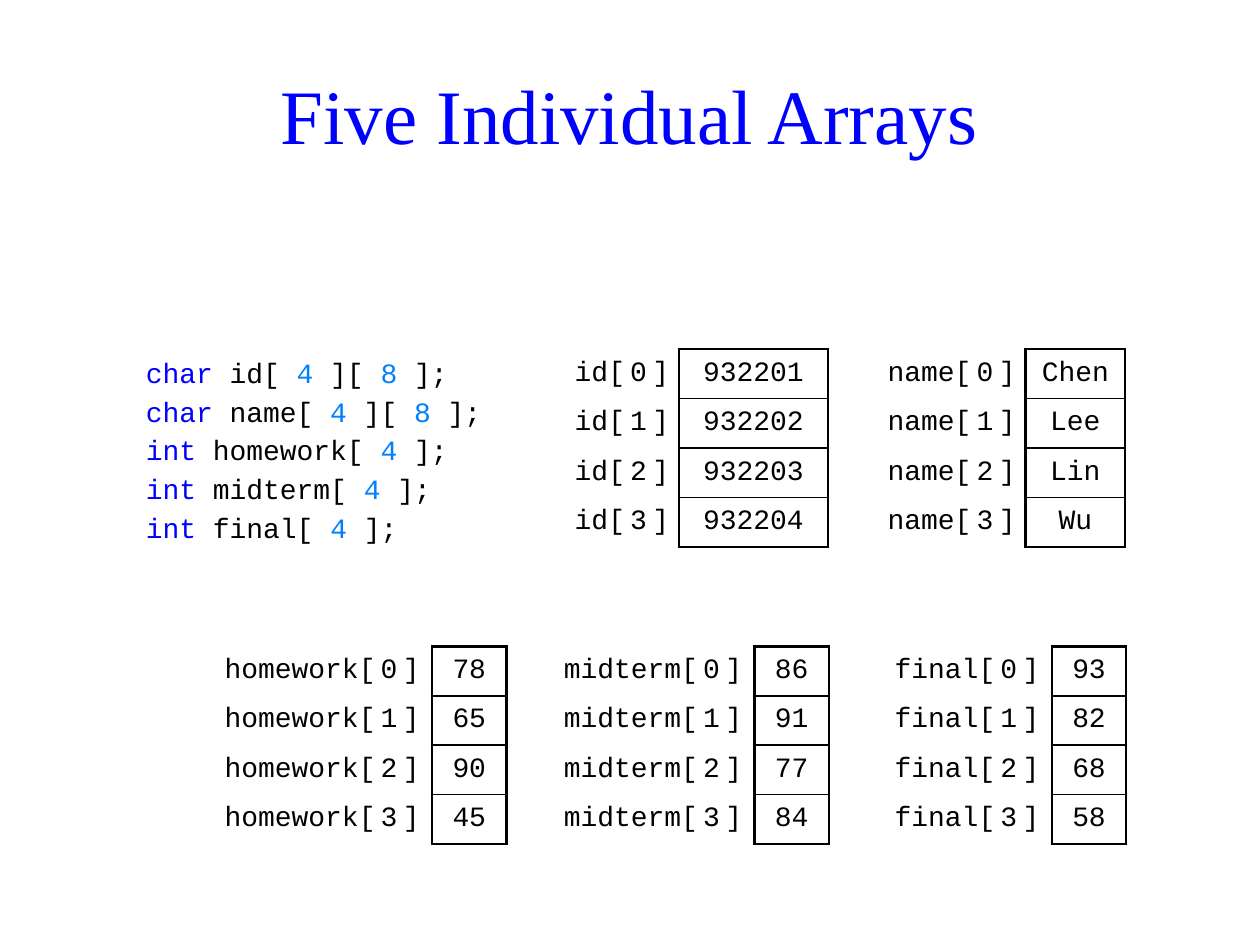
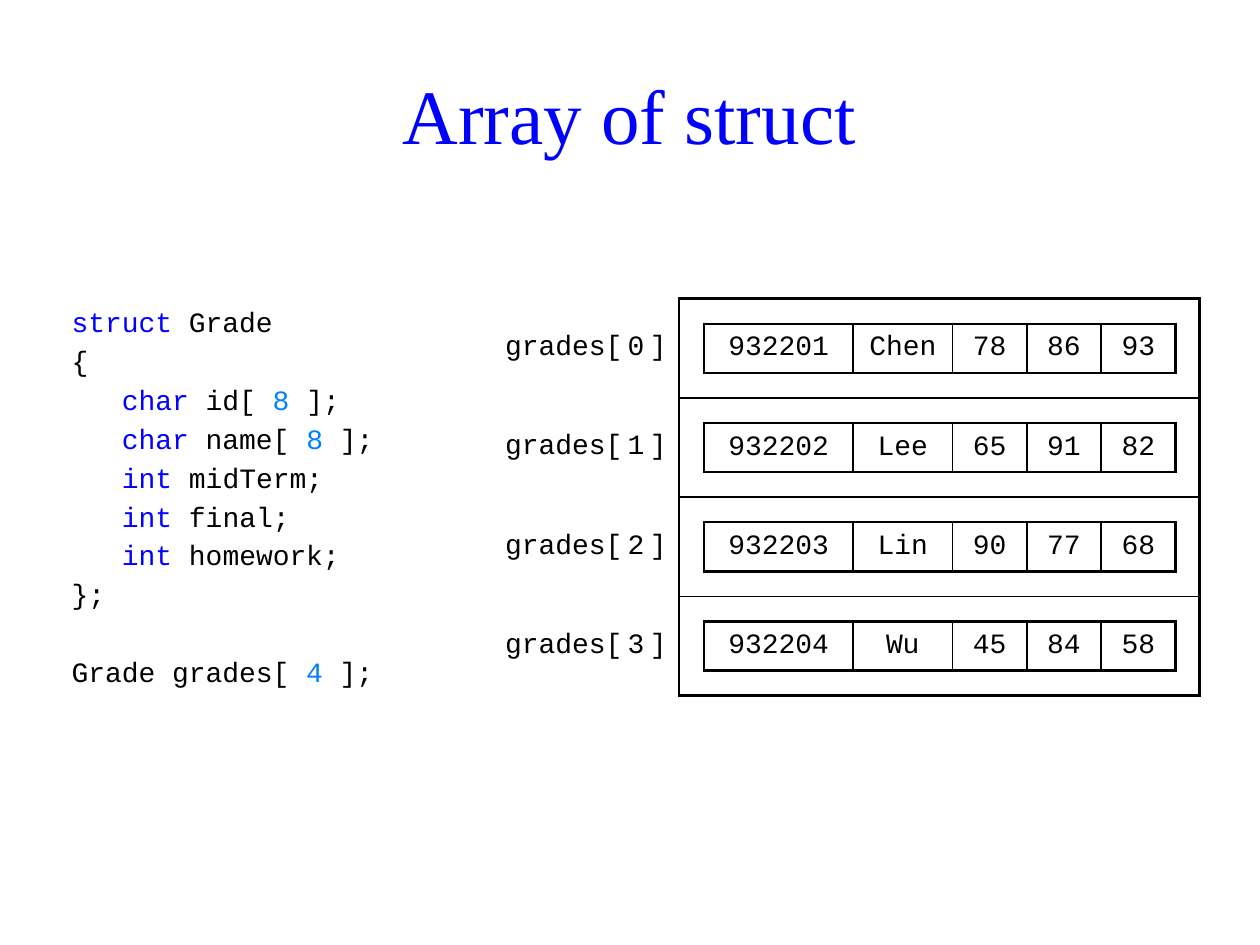
"""Build two slides comparing five individual arrays with an array of struct."""
from pptx import Presentation
from pptx.dml.color import RGBColor
from pptx.enum.text import MSO_ANCHOR, PP_ALIGN
from pptx.oxml import parse_xml
from pptx.oxml.ns import nsdecls
from pptx.util import Inches, Pt

MIDDLE = MSO_ANCHOR.MIDDLE
CENTER, RIGHT = PP_ALIGN.CENTER, PP_ALIGN.RIGHT
BLUE, NUMBER, BLACK = "0000FF", "0080FF", "000000"
KEYWORDS = ("char", "int", "struct")
NO_STYLE = "{2D5ABB26-0587-4C30-8999-92F81FD0307C}"
THICK, THIN = 1.5, 1
RECORDS = [
    ["932201", "Chen", "78", "86", "93"],
    ["932202", "Lee", "65", "91", "82"],
    ["932203", "Lin", "90", "77", "68"],
    ["932204", "Wu", "45", "84", "58"],
]


def add_run(p, text, color=BLACK, font="Courier New", size=16):
    """Append one formatted run to a paragraph."""
    r = p.add_run()
    r.text = text
    r.font.name = font
    r.font.size = Pt(size)
    r.font.color.rgb = RGBColor.from_string(color)
    return r


def add_grid(s, left, top, widths, height, rows, margin=0.1):
    """Add a table whose cells are index labels or bordered boxes."""
    last_row, last_col = len(rows) - 1, len(widths) - 1
    frame = s.shapes.add_table(len(rows), len(widths), Inches(left), Inches(top),
                               Inches(sum(widths)), Inches(height))
    table = frame.table
    table.first_row = table.horz_banding = False
    frame._element.graphic.graphicData.tbl.tblPr.find(
        "{*}tableStyleId").text = NO_STYLE
    for col, width in zip(table.columns, widths):
        col.width = Inches(width)
    for i, row in enumerate(rows):
        table.rows[i].height = Inches(height / len(rows))
        for j, text in enumerate(row):
            cell = table.cell(i, j)
            cell.fill.background()
            cell.vertical_anchor = MIDDLE
            cell.margin_left = cell.margin_right = Inches(margin)
            cell.margin_top = cell.margin_bottom = Inches(0.04)
            p = cell.text_frame.paragraphs[0]
            if text.endswith("]"):
                p.alignment = RIGHT
                name, index = text[:-1].split("[")
                add_run(p, name)
                add_run(p, "[" + index)._r.get_or_add_rPr().set("spc", "300")
                add_run(p, "]")
                continue
            p.alignment = CENTER
            if text:
                add_run(p, text)
            after_label = j == 0 or row[j - 1].endswith("]")
            before_label = j == last_col or row[j + 1].endswith("]")
            sides = [("lnL", after_label), ("lnR", before_label),
                     ("lnT", i == 0), ("lnB", i == last_row)]
            for k, (tag, outer) in enumerate(sides):
                width = Pt(THICK if outer else THIN)
                cell._tc.get_or_add_tcPr().insert(k, parse_xml(
                    f'<a:{tag} {nsdecls("a")} w="{width}"><a:solidFill>'
                    f'<a:srgbClr val="{BLACK}"/></a:solidFill></a:{tag}>'))


prs = Presentation()
prs.slide_width, prs.slide_height = Inches(10), Inches(7.5)

PAGES = [
    ("Five Individual Arrays", (1.06, 2.77, 2.95, 1.58), [
        (0, 3, "char id[ 4 ][ 8 ];"),
        (0, 3, "char name[ 4 ][ 8 ];"),
        (0, 3, "int homework[ 4 ];"),
        (0, 3, "int midterm[ 4 ];"),
        (0, 3, "int final[ 4 ];"),
    ]),
    ("Array of struct", (0.47, 2.37, 2.76, 3.15), [
        (0, 3, "struct Grade"),
        (0, 3, "{"),
        (0.4, 3, "char id[ 8 ];"),
        (0.4, 3, "char name[ 8 ];"),
        (0.4, 3, "int midTerm;"),
        (0.4, 3, "int final;"),
        (0.4, 3, "int homework;"),
        (0, 3, "};"),
        (0, 25, "Grade grades[ 4 ];"),
    ]),
]
slides = []
for heading, code_box, code in PAGES:
    s = prs.slides.add_slide(prs.slide_layouts[5])
    slides.append(s)
    title = s.shapes.title
    title.left, title.top = Inches(0.27), Inches(0.21)
    title.width, title.height = Inches(9.45), Inches(1.38)
    title.text_frame.vertical_anchor = MIDDLE
    p = title.text_frame.paragraphs[0]
    p.alignment = CENTER
    add_run(p, heading, BLUE, "Times New Roman", 44)

    tf = s.shapes.add_textbox(*map(Inches, code_box)).text_frame
    tf.word_wrap = True
    for n, (indent, space, line) in enumerate(code):
        p = tf.add_paragraph() if n else tf.paragraphs[0]
        p.space_before = Pt(space)
        p._p.get_or_add_pPr().set("marL", str(Inches(indent)))
        for k, word in enumerate(line.split(" ")):
            color = BLUE if word in KEYWORDS else NUMBER if word.isdigit() else BLACK
            add_run(p, " " + word if k else word, color)

arrays, structs = slides
ids, names, homework, midterm, final = zip(*RECORDS)
scores = [("homework", homework), ("midterm", midterm), ("final", final)]
texts = [("id", ids), ("name", names)]
for left, top, widths, margin, columns in [
        (1.46, 5.13, [1.97, 0.59, 1.97, 0.59, 1.77, 0.59], 0.1, scores),
        (4.41, 2.77, [0.98, 1.18, 1.57, 0.79], 0.08, texts)]:
    rows = [[text for name, values in columns for text in (f"{name}[{i}]", values[i])]
            for i in range(len(RECORDS))]
    add_grid(arrays, left, top, widths, 1.57, rows, margin)

add_grid(structs, 3.82, 2.37, [1.57, 4.13], 3.15,
         [[f"grades[{i}]", ""] for i in range(len(RECORDS))])
for i, record in enumerate(RECORDS):
    add_grid(structs, 5.59, 2.57 + i * 3.15 / 4, [1.18, 0.79, 0.59, 0.59, 0.59],
             0.39, [record], 0.08)

prs.save("out.pptx")
